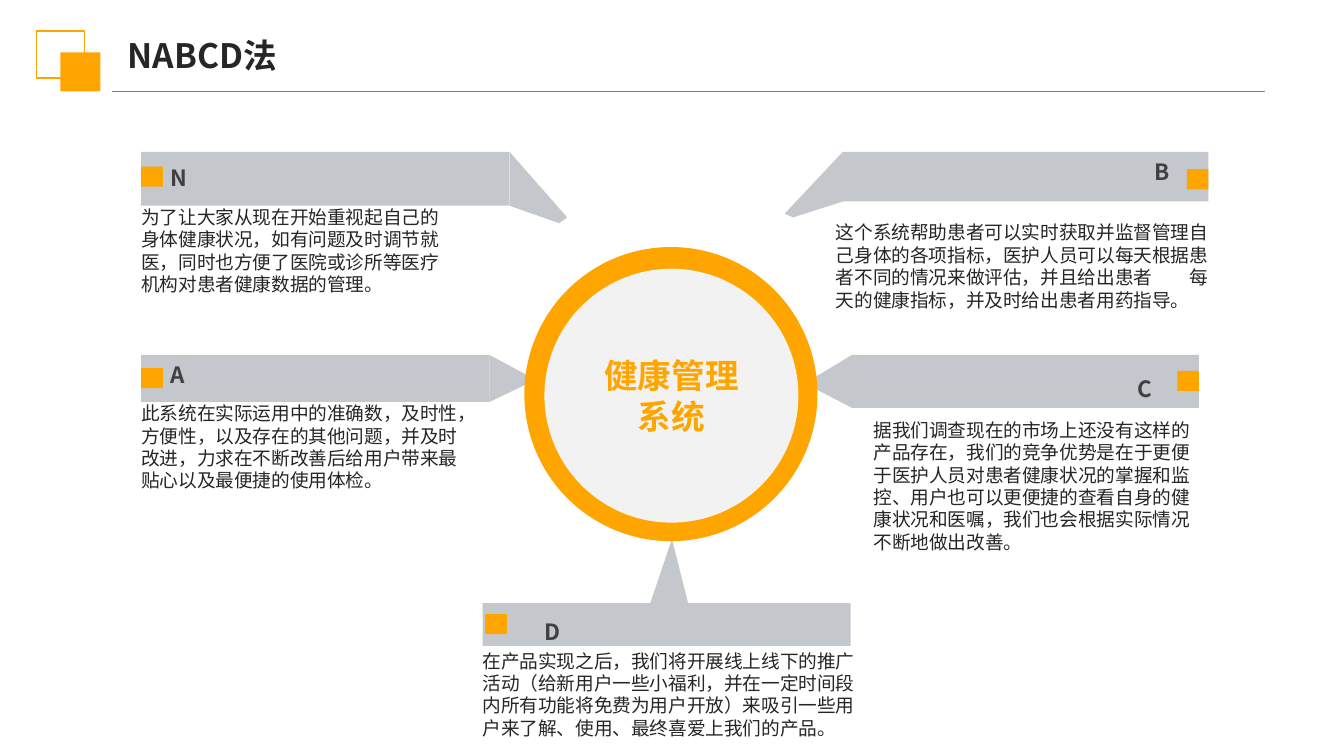
from lxml import etree
from pptx import Presentation
from pptx.dml.color import RGBColor
from pptx.enum.shapes import MSO_CONNECTOR, MSO_SHAPE
from pptx.enum.text import MSO_ANCHOR, PP_ALIGN
from pptx.oxml.ns import qn
from pptx.util import Cm, Pt

RECT, OVAL = MSO_SHAPE.RECTANGLE, MSO_SHAPE.OVAL
STRAIGHT = MSO_CONNECTOR.STRAIGHT
TOP, MIDDLE = MSO_ANCHOR.TOP, MSO_ANCHOR.MIDDLE
LEFT, CENTER, RIGHT = PP_ALIGN.LEFT, PP_ALIGN.CENTER, PP_ALIGN.RIGHT

FONT = "Noto Sans CJK SC"
ORANGE, SILVER, PALE, RULE = "FFA500", "C4C7CB", "F2F2F2", "808080"
INK, LABEL_INK = "262626", "404040"
LINE_HEIGHT = 1.2
MARKER_SIZE = (0.41, 0.38)
LABEL_SIZE = (5.44, 0.79)
GAP_STOP = 6.68

TITLE = "NABCD法"
CENTRE = "健康管理系统"
ARMS = [
    {"letter": "N", "align": LEFT,
     "bar": (2.67, 2.87, 6.96, 1.02),
     "pointer": [(9.63, 2.87), (10.72, 4.11), (10.57, 4.22), (9.63, 3.89)],
     "marker": (2.67, 3.15), "label": (3.23, 2.97),
     "body": (2.67, 3.94, 5.69, 1.6),
     "text": "为了让大家从现在开始重视起自己的身体健康状况，如有问题及时调节就医，"
             "同时也方便了医院或诊所等医疗机构对患者健康数据的管理。"},
    {"letter": "A", "align": LEFT,
     "bar": (2.67, 6.71, 6.58, 0.89),
     "pointer": [(9.25, 6.71), (9.96, 7.09), (9.96, 7.26), (9.25, 7.6)],
     "marker": (2.67, 6.96), "label": (3.23, 6.71),
     "body": (2.67, 7.47, 6.3, 1.96),
     "text": "此系统在实际运用中的准确数，及时性，方便性，以及存在的其他问题，"
             "并及时改进，力求在不断改善后给用户带来最贴心以及最便捷的使用体检。"},
    {"letter": "B", "align": RIGHT,
     "bar": (15.93, 2.87, 6.91, 0.94),
     "pointer": [(15.93, 2.87), (14.83, 4.04), (14.99, 4.11), (15.93, 3.81)],
     "marker": (22.43, 3.2), "label": (16.66, 2.87),
     "body": (15.8, 3.94, 7.07, 2.18),
     "text": "这个系统帮助患者可以实时获取并监督管理自己身体的各项指标，"
             "医护人员可以每天根据患者不同的情况来做评估，并且给出患者\t"
             "每天的健康指标，并及时给出患者用药指导。"},
    {"letter": "C", "align": RIGHT,
     "bar": (16.1, 6.71, 6.56, 1),
     "pointer": [(16.1, 6.71), (15.39, 7.14), (15.39, 7.34), (16.1, 7.71)],
     "marker": (22.25, 7.01), "label": (16.33, 6.96),
     "body": (16.51, 7.75, 6.17, 2.87),
     "text": "据我们调查现在的市场上还没有这样的产品存在，我们的竞争优势是在于更便于"
             "医护人员对患者健康状况的掌握和监控、用户也可以更便捷的查看自身的"
             "健康状况和医嘱，我们也会根据实际情况不断地做出改善。"},
    {"letter": "D", "align": LEFT,
     "bar": (9.12, 11.4, 6.96, 0.81),
     "pointer": [(12.7, 10.19), (13.18, 12.09), (13, 12.17), (12.27, 11.46)],
     "marker": (9.17, 11.61), "label": (10.29, 11.56),
     "body": (9.12, 12.34, 7.21, 1.57),
     "text": "在产品实现之后，我们将开展线上线下的推广活动（给新用户一些小福利，"
             "并在一定时间段内所有功能将免费为用户开放）来吸引一些用户来了解、"
             "使用、最终喜爱上我们的产品。"},
]


def color(value):
    return RGBColor.from_string(value)


def paint(shape, fill=None, line=None):
    shape.shadow.inherit = False
    if fill:
        shape.fill.solid()
        shape.fill.fore_color.rgb = color(fill)
    else:
        shape.fill.background()
    if line:
        shape.line.color.rgb = color(line)
        shape.line.width = Pt(1)
    else:
        shape.line.fill.background()
    return shape


def add_block(slide, kind, box, fill=None, line=None):
    return paint(slide.shapes.add_shape(kind, *map(Cm, box)), fill, line)


def add_pointer(slide, points):
    start, *rest = [(Cm(x), Cm(y)) for x, y in points]
    builder = slide.shapes.build_freeform(*start)
    builder.add_line_segments(rest, close=True)
    paint(builder.convert_to_shape(), SILVER)


def write(frame, text, size, ink, bold=False, align=LEFT, anchor=MIDDLE):
    frame.word_wrap = True
    frame.vertical_anchor = anchor
    paragraph = frame.paragraphs[0]
    if "\t" in text:
        stops = etree.SubElement(paragraph._p.get_or_add_pPr(), qn("a:tabLst"))
        etree.SubElement(stops, qn("a:tab"), pos=str(Cm(GAP_STOP)), algn="l")
    paragraph.alignment = align
    paragraph.line_spacing = Pt(size * LINE_HEIGHT)
    run = paragraph.add_run()
    run.text = text
    run.font.size = Pt(size)
    run.font.bold = bold
    run.font.name = FONT
    run.font.color.rgb = color(ink)
    etree.SubElement(run._r.get_or_add_rPr(), qn("a:ea"), typeface=FONT)


def add_text(slide, box, *args, **style):
    frame = slide.shapes.add_textbox(*map(Cm, box)).text_frame
    frame.margin_left = frame.margin_right = 0
    write(frame, *args, **style)


def add_header(slide):
    rule = slide.shapes.add_connector(STRAIGHT, *map(Cm, (2.11, 1.73, 23.9, 1.73)))
    rule.line.color.rgb = color(RULE)
    rule.line.width = Pt(0.75)
    etree.SubElement(rule._element.spPr, qn("a:effectLst"))
    add_block(slide, RECT, (0.69, 0.58, 0.91, 0.89), line=ORANGE)
    add_block(slide, RECT, (1.14, 0.99, 0.76, 0.74), ORANGE)
    add_text(slide, (2.41, 0.53, 5.92, 1.04), TITLE, 18, INK, bold=True)


def add_arm(slide, arm):
    add_block(slide, RECT, arm["bar"], SILVER)
    add_pointer(slide, arm["pointer"])
    add_block(slide, RECT, arm["marker"] + MARKER_SIZE, ORANGE)
    add_text(slide, arm["label"] + LABEL_SIZE, arm["letter"], 12, LABEL_INK,
             bold=True, align=arm["align"], anchor=TOP)
    add_text(slide, arm["body"], arm["text"], 10, INK)


def main():
    """Build the NABCD slide with five arms around a central ring."""
    deck = Presentation()
    deck.slide_width, deck.slide_height = Cm(25.4), Cm(14.29)
    slide = deck.slides.add_slide(deck.slide_layouts[6])
    add_header(slide)
    for arm in ARMS:
        add_arm(slide, arm)
    add_block(slide, OVAL, (9.91, 4.67, 5.54, 5.56), ORANGE)
    core = add_block(slide, OVAL, (10.29, 5.08, 4.8, 4.8), PALE)
    write(core.text_frame, CENTRE, 18, ORANGE, bold=True, align=CENTER)
    deck.save("out.pptx")


if __name__ == "__main__":
    main()
